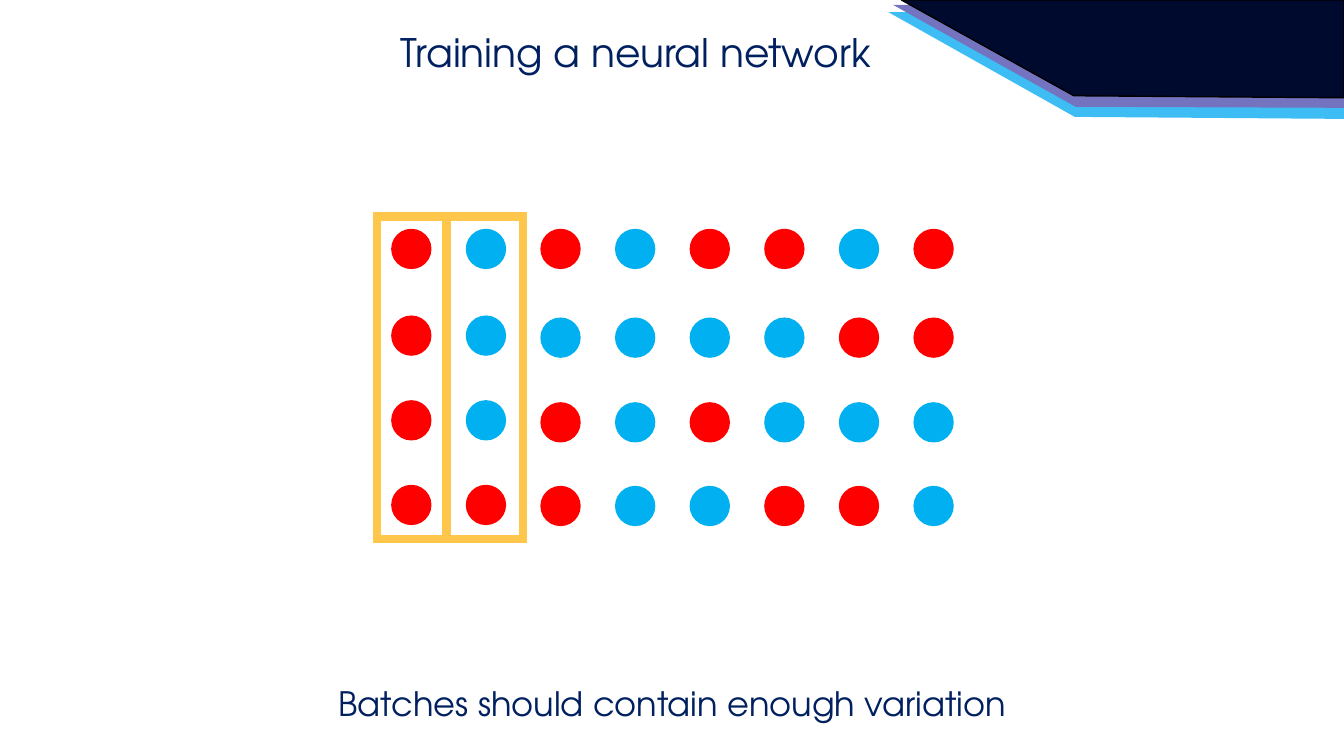
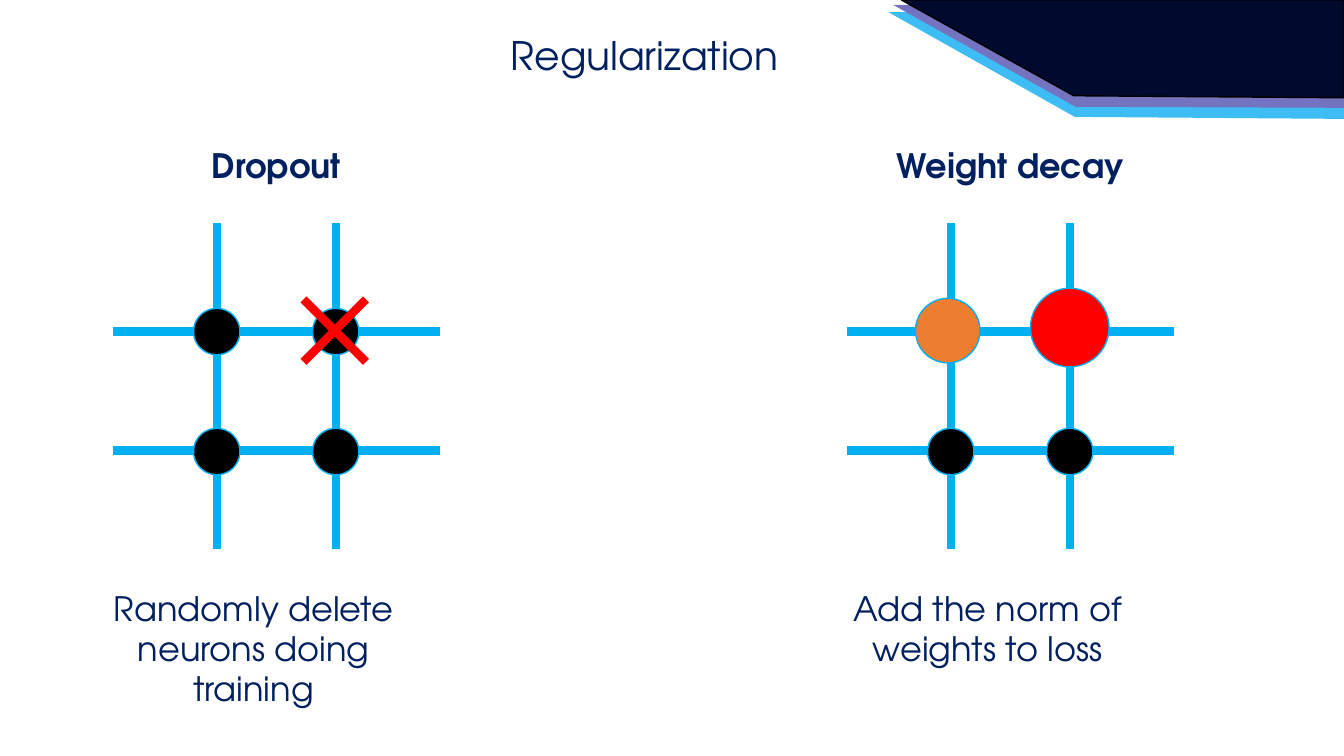
from lxml.etree import SubElement
from pptx import Presentation
from pptx.dml.color import RGBColor
from pptx.enum.shapes import MSO_CONNECTOR, MSO_SHAPE
from pptx.enum.text import MSO_ANCHOR, MSO_AUTO_SIZE, PP_ALIGN
from pptx.oxml.ns import qn
from pptx.util import Inches, Pt

# Shared style
FONT = "TeX Gyre Adventor"
NAVY, RED, BLUE, YELLOW = "002060", "FF0000", "00B0F0", "FFC64C"
ORANGE, BLACK = "ED7D31", "000000"
SLIDE_WIDTH, SLIDE_HEIGHT = 13.33, 7.5

# Corner bands, back to front: fill, outline, corner points
CORNER_BANDS = [
    ("3EBDF5", None, [(8.81, 0.12), (10.66, 1.16), (13.33, 1.18), (13.33, 0.12)]),
    ("7373C0", None, [(8.86, 0.05), (10.67, 1.06), (13.33, 1.07), (13.33, 0.03)]),
    ("000A2F", BLACK, [(8.94, 0), (10.65, 0.95), (13.33, 0.97), (13.33, 0)]),
]

# Training samples, one string a row: R is red, B is blue
SAMPLE_ROWS = ["RBRBRRBR", "RBBBBBRR", "RBRBRBBB", "RRRBBRRB"]
BATCHED_TOPS = (2.27, 3.13, 3.97, 4.81)
OTHER_TOPS = (2.27, 3.15, 3.99, 4.82)
BATCHED_COLUMNS = 2
SAMPLE_LEFT, SAMPLE_PITCH, SAMPLE_SIZE = 3.88, 0.74, 0.4

# Neural network lattice
NETWORK_TOP, NETWORK_SIZE = 2.21, 3.24
NODE_OFFSETS = (1.03, 2.21)
WIRE_ROWS = (3.29, 4.47)
NODE_SIZE = 0.46


def color(hex_string):
    return RGBColor.from_string(hex_string)


def style_line(line, line_color, width):
    if line_color is None:
        line.fill.background()
    else:
        line.color.rgb = color(line_color)
        line.width = Pt(width)


def style_shape(shape, fill=None, line_color=None, width=1):
    shape.shadow.inherit = False
    if fill is None:
        shape.fill.background()
    else:
        shape.fill.solid()
        shape.fill.fore_color.rgb = color(fill)
    style_line(shape.line, line_color, width)


def write_text(shape, text, *, size=24, bold=False):
    frame = shape.text_frame
    frame.word_wrap = True
    frame.auto_size = MSO_AUTO_SIZE.NONE
    frame.vertical_anchor = MSO_ANCHOR.TOP
    paragraph = frame.paragraphs[0]
    paragraph.alignment = PP_ALIGN.CENTER
    run = paragraph.add_run()
    run.text = text
    run.font.name, run.font.size, run.font.bold = FONT, Pt(size), bold
    run.font.color.rgb = color(NAVY)


def add_text(slide, text, left, top, width, height, **text_format):
    box = slide.shapes.add_textbox(*map(Inches, (left, top, width, height)))
    write_text(box, text, **text_format)


def add_circle(shapes, center_x, center_y, size, fill, line_color=None):
    left, top = center_x - size / 2, center_y - size / 2
    circle = shapes.add_shape(MSO_SHAPE.OVAL, *map(Inches, (left, top, size, size)))
    style_shape(circle, fill, line_color)


def add_frame(slide, left, top, width, height):
    frame = slide.shapes.add_shape(
        MSO_SHAPE.RECTANGLE, *map(Inches, (left, top, width, height)))
    style_shape(frame, line_color=YELLOW, width=6)
    outline = frame._element.spPr.find(qn("a:ln"))
    SubElement(outline, qn("a:miter"), lim="800000")


def add_line(shapes, x1, y1, x2, y2, line_color):
    connector = shapes.add_connector(
        MSO_CONNECTOR.STRAIGHT, *map(Inches, (x1, y1, x2, y2)))
    style_line(connector.line, line_color, 6)
    SubElement(connector._element.spPr, qn("a:effectLst"))


def add_slide(presentation, title, left, top):
    slide = presentation.slides.add_slide(presentation.slide_layouts[5])
    for fill, line_color, points in CORNER_BANDS:
        start, *rest = [(Inches(x), Inches(y)) for x, y in points]
        builder = slide.shapes.build_freeform(*start)
        builder.add_line_segments(rest, close=True)
        style_shape(builder.convert_to_shape(), fill, line_color)
    heading = slide.shapes.title
    heading.left, heading.top = Inches(left), Inches(top)
    heading.width, heading.height = Inches(10.55), Inches(0.57)
    write_text(heading, title, size=28)
    return slide


def add_samples(slide):
    shapes = slide.shapes.add_group_shape().shapes
    for row, samples in enumerate(SAMPLE_ROWS):
        for column, sample in enumerate(samples):
            tops = BATCHED_TOPS if column < BATCHED_COLUMNS else OTHER_TOPS
            add_circle(shapes,
                       SAMPLE_LEFT + column * SAMPLE_PITCH + SAMPLE_SIZE / 2,
                       tops[row] + SAMPLE_SIZE / 2,
                       SAMPLE_SIZE, RED if sample == "R" else BLUE)


def add_network(slide, left, nodes):
    """Draw the wires, then nodes given as (x offset, y, size, fill)."""
    shapes = slide.shapes.add_group_shape().shapes
    for y in WIRE_ROWS:
        add_line(shapes, left, y, left + NETWORK_SIZE, y, BLUE)
    for offset in NODE_OFFSETS:
        x = left + offset
        add_line(shapes, x, NETWORK_TOP, x, NETWORK_TOP + NETWORK_SIZE, BLUE)
    for offset, y, size, fill in nodes:
        add_circle(shapes, left + offset, y, size, fill, BLUE)


def add_method(slide, left, name, description, nodes):
    add_text(slide, name, left, 1.39, NETWORK_SIZE, 0.5, bold=True)
    add_network(slide, left, nodes)
    add_text(slide, description, left - 0.48, 5.78, 3.75, 0.91)


def add_cross(slide, center_x, center_y, reach):
    for direction in (1, -1):
        add_line(slide.shapes,
                 center_x - reach, center_y - direction * reach,
                 center_x + reach, center_y + direction * reach, RED)


def build_training_slide(presentation):
    slide = add_slide(presentation, "Training a neural network", 1.03, 0.23)
    add_samples(slide)
    for width in (0.69, 1.45):
        add_frame(slide, 3.74, 2.15, width, 3.2)
    add_text(slide, "Batches should contain enough variation",
             0, 6.73, SLIDE_WIDTH, 0.5)


def build_regularization_slide(presentation):
    slide = add_slide(presentation, "Regularization", 1.12, 0.26)
    first, second = NODE_OFFSETS
    upper_nodes = [(x, 3.29, NODE_SIZE, BLACK) for x in NODE_OFFSETS]
    lower_nodes = [(x, 4.48, NODE_SIZE, BLACK) for x in NODE_OFFSETS]
    heavy_nodes = [(first - 0.03, 3.28, 0.64, ORANGE), (second, 3.25, 0.78, RED)]
    add_method(slide, 1.12, "Dropout", "Randomly delete neurons doing training",
               upper_nodes + lower_nodes)
    add_cross(slide, 3.32, 3.28, 0.31)
    add_method(slide, 8.4, "Weight decay", "Add the norm of weights to loss",
               heavy_nodes + lower_nodes)


def main():
    presentation = Presentation()
    presentation.slide_width = Inches(SLIDE_WIDTH)
    presentation.slide_height = Inches(SLIDE_HEIGHT)
    build_training_slide(presentation)
    build_regularization_slide(presentation)
    presentation.save("out.pptx")


if __name__ == "__main__":
    main()
